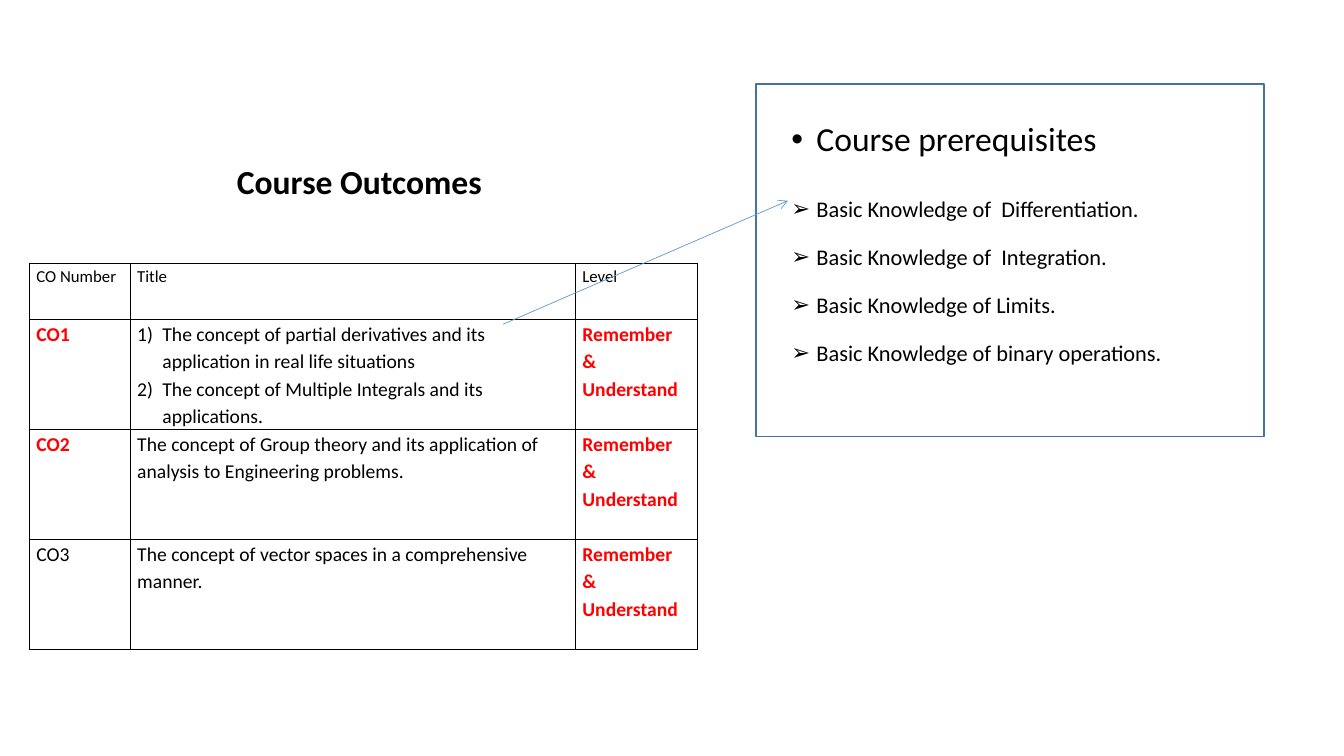
import pptx
import pptx.util
import pptx.dml.color
import pptx.enum.shapes
import pptx.enum.text
import pptx.oxml
import pptx.oxml.ns

NS = pptx.oxml.ns.nsdecls("a")
BLACK, RED = "000000", "FF0000"


def paint(code):
    return pptx.dml.color.RGBColor.from_string(code)


def write(par, words, size=14, color=BLACK, bold=False, lines=1.15, before=0, mark=None):
    run = par.add_run()
    run.text = words
    run.font.name = "Calibri"
    run.font.size = pptx.util.Pt(size)
    run.font.bold = bold
    run.font.color.rgb = paint(color)
    par.line_spacing = lines
    par.space_before = pptx.util.Pt(before)
    if mark:
        props = par._p.get_or_add_pPr()
        indent = pptx.util.Inches(0.25)
        props.set("marL", str(indent))
        props.set("indent", str(-indent))
        if mark == "1)":
            props.append(pptx.oxml.parse_xml(f'<a:buAutoNum {NS} type="arabicParenR"/>'))
        else:
            props.append(pptx.oxml.parse_xml(f'<a:buFont {NS} typeface="Arial"/>'))
            props.append(pptx.oxml.parse_xml(f'<a:buChar {NS} char="{mark}"/>'))


# Slide on a grid of 160 columns by 90 rows
deck = pptx.Presentation()
unit = pptx.util.Inches(1 / 12)
deck.slide_width, deck.slide_height = 160 * unit, 90 * unit
slide = deck.slides.add_slide(deck.slide_layouts[1])
shapes = slide.shapes
cells = {
    "title": (27, 18.6, 36, 6),
    "list": (93, 14, 56, 37),
    "box": (90, 10, 60.5, 42),
    "table": (3.5, 31.4, 79.5, 45.9),
    "arrow": (59.9, 38.6, 93.8, 23.9),
}
spots = {name: [round(n * unit) for n in spot] for name, spot in cells.items()}

# Title and list placeholders
title, body = shapes.title, slide.placeholders[1]
for holder, name in ((title, "title"), (body, "list")):
    holder.left, holder.top, holder.width, holder.height = spots[name]
    holder.text_frame.auto_size = pptx.enum.text.MSO_AUTO_SIZE.NONE
head = title.text_frame.paragraphs[0]
head.alignment = pptx.enum.text.PP_ALIGN.LEFT
write(head, "Course Outcomes", size=24, bold=True, lines=1.0)

# Prerequisites
frame = body.text_frame
write(frame.paragraphs[0], "Course prerequisites", size=24, lines=0.9, mark="•")
needs = ["of  Differentiation.", "of  Integration.", "of Limits.", "of binary operations."]
for i, need in enumerate(needs):
    write(frame.add_paragraph(), f"Basic Knowledge {need}", size=16, lines=0.9,
          before=17 if i else 28, mark="➢")

# Frame around the list
box = shapes.add_shape(pptx.enum.shapes.MSO_SHAPE.RECTANGLE, *spots["box"])
box.shadow.inherit = False
box.fill.background()
box.line.color.rgb = paint("43739E")
box.line.width = pptx.util.Pt(1)

# Outcomes table
level = ["Remember & Understand"]
rows = [
    [["CO Number"], ["Title"], ["Level"]],
    [["CO1"], ["The concept of partial derivatives and its application in real life situations",
               "The concept of Multiple Integrals and its applications."], level],
    [["CO2"], ["The concept of Group theory and its application of "
               "analysis to Engineering problems."], level],
    [["CO3"], ["The concept of vector spaces in a comprehensive manner."], level],
]
table = shapes.add_table(4, 3, *spots["table"]).table
table.first_row = table.horz_banding = False
for col, span in zip(table.columns, (12, 53, 14.5)):
    col.width = round(span * unit)
for row, span in zip(table.rows, (6.6, 13.1, 13.1, 13.1)):
    row.height = round(span * unit)
for r, row in enumerate(rows):
    for c, items in enumerate(row):
        cell = table.cell(r, c)
        cell.margin_left = cell.margin_right = pptx.util.Inches(0.07)
        cell.margin_top = cell.margin_bottom = 0
        for side in "LRTB":
            cell._tc.get_or_add_tcPr().append(pptx.oxml.parse_xml(
                f'<a:ln{side} {NS} w="12700"><a:solidFill><a:srgbClr val="{BLACK}"/>'
                f'</a:solidFill></a:ln{side}>'))
        cell.fill.background()
        strong = r > 0 and (c == 2 or items[0] in ("CO1", "CO2"))
        for i, item in enumerate(items):
            par = cell.text_frame.add_paragraph() if i else cell.text_frame.paragraphs[0]
            write(par, item, size=14 if r else 12, color=RED if strong else BLACK,
                  bold=strong, mark="1)" if len(items) > 1 else None)

# Arrow from the first outcome to its prerequisite
arrow = shapes.add_connector(pptx.enum.shapes.MSO_CONNECTOR.STRAIGHT, *spots["arrow"])
arrow.line.color.rgb = paint("5B9BD5")
arrow.line.width = pptx.util.Pt(0.5)
arrow.line._get_or_add_ln().append(pptx.oxml.parse_xml(f'<a:tailEnd {NS} type="arrow"/>'))
arrow._element.spPr.append(pptx.oxml.parse_xml(f"<a:effectLst {NS}/>"))

deck.save("out.pptx")
